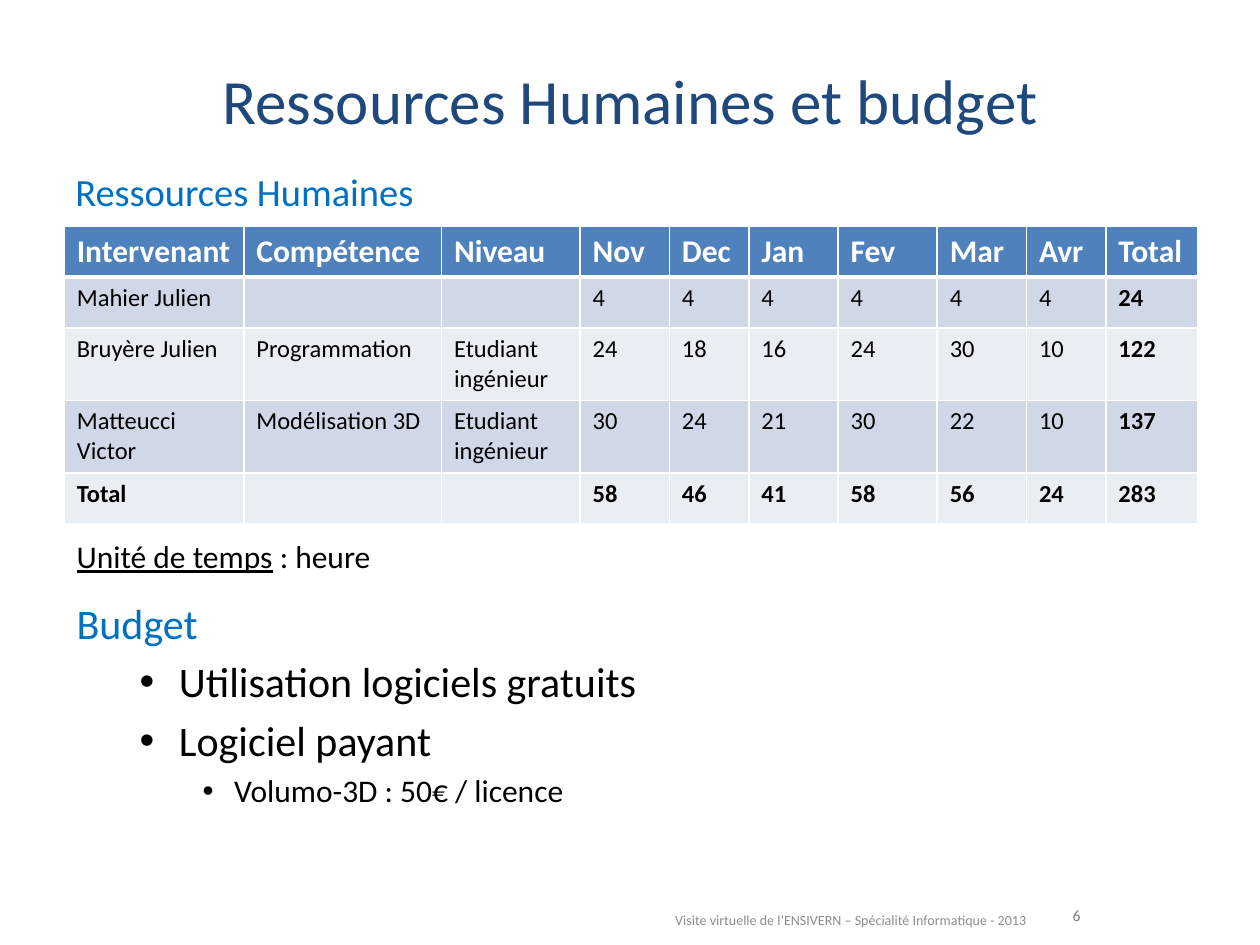
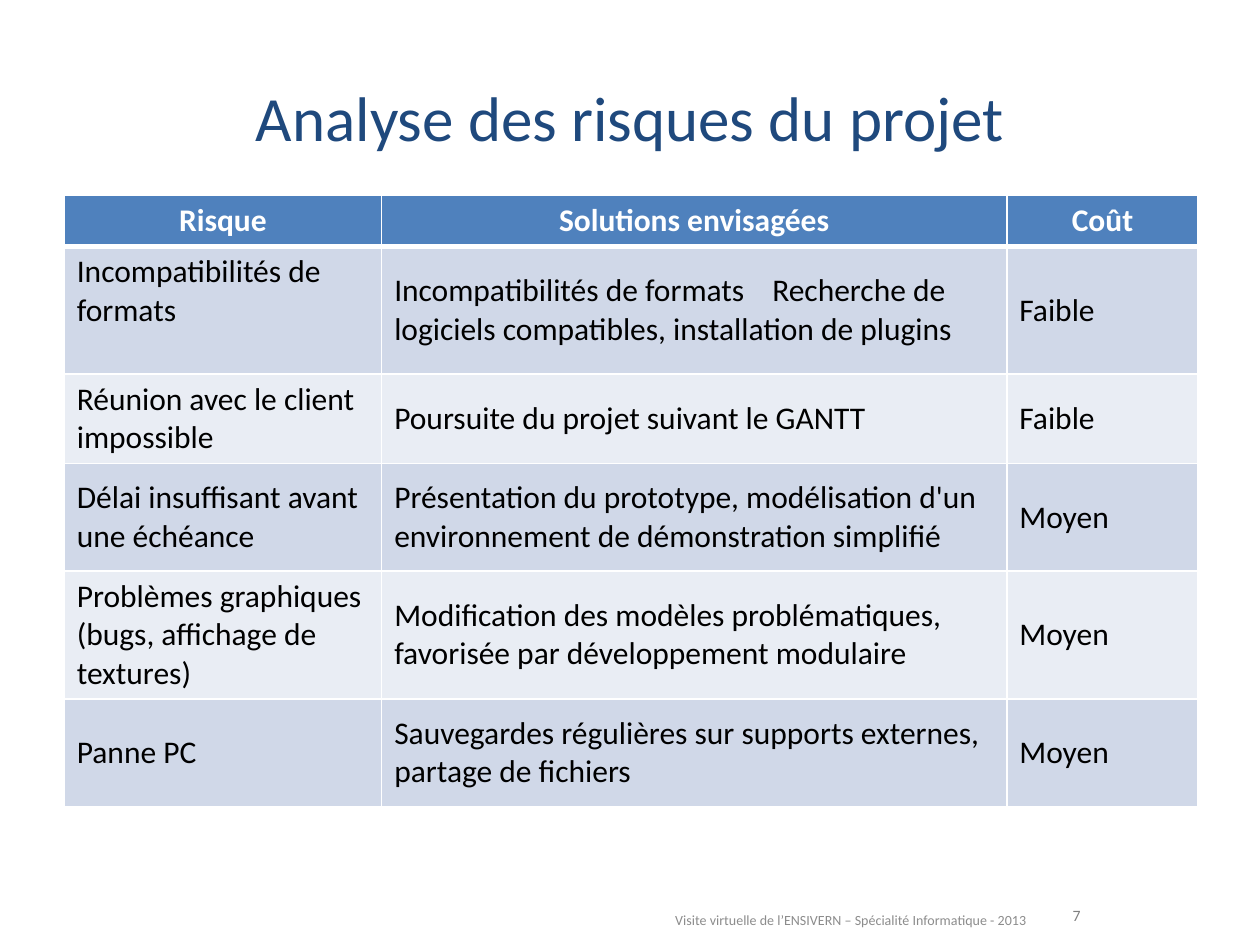
from lxml.etree import SubElement
from pptx import Presentation
from pptx.dml.color import RGBColor
from pptx.enum.text import MSO_ANCHOR, PP_ALIGN
from pptx.oxml.ns import qn
from pptx.util import Pt

COLORS = {
    "title": "1F497D",
    "heading": "0070C0",
    "text": "000000",
    "footer": "8C8C8C",
    "number": "808080",
    "header": "4F81BD",
    "band_dark": "D0D8E8",
    "band_light": "E9EDF4",
    "white": "FFFFFF",
}
FONT = "Calibri"
FOOTER = "Visite virtuelle de l’ENSIVERN – Spécialité Informatique - 2013"
TABLE_LEFT = 36.7
LINE_HEIGHT = 21.95  # one line at 18 points
CELL_PADDING = 7.2  # top and bottom margins together

# Slide 1: hours per person and month
HOURS_COLUMNS = [102.6, 113, 79.2, 51, 45.4, 51, 56.7, 51, 45.4, 52.7]
HOURS_ROWS = [29.2, 29.2, 41.4, 41.4, 29.2]
HOURS = [
    ["Intervenant", "Compétence", "Niveau", "Nov", "Dec", "Jan", "Fev", "Mar", "Avr", "Total"],
    ["Mahier Julien", "", "", "4", "4", "4", "4", "4", "4", "24"],
    ["Bruyère Julien", "Programmation", "Etudiant ingénieur",
     "24", "18", "16", "24", "30", "10", "122"],
    ["Matteucci Victor", "Modélisation 3D", "Etudiant\ningénieur",
     "30", "24", "21", "30", "22", "10", "137"],
    ["Total", "", "", "58", "46", "41", "58", "56", "24", "283"],
]

# Slide 1: budget lines as text, size, colour, left margin, hanging indent, bullet
BUDGET = [
    ("Budget", 24, "heading", 27, 27, None),
    ("Utilisation logiciels gratuits", 24, "text", 58.5, 22.5, "•"),
    ("Logiciel payant", 24, "text", 58.5, 22.5, "•"),
    ("Volumo-3D : 50€ / licence", 18, "text", 90, 18, "•"),
]

# Slide 2: risks, answers and cost
RISK_COLUMNS = [181.4, 357.2, 109.4]
RISK_ROWS = [lines * LINE_HEIGHT + CELL_PADDING for lines in (1, 3, 2, 2.47, 3, 2.47)]
RISKS = [
    ["Risque", "Solutions envisagées", "Coût"],
    ["Incompatibilités de formats",
     "Incompatibilités de formats\tRecherche de logiciels compatibles, installation de plugins",
     "Faible"],
    ["Réunion avec le client impossible", "Poursuite du projet suivant le GANTT", "Faible"],
    ["Délai insuffisant avant une échéance",
     "Présentation du prototype, modélisation d'un environnement de démonstration simplifié",
     "Moyen"],
    ["Problèmes graphiques (bugs, affichage de textures)",
     "Modification des modèles problématiques, favorisée par développement modulaire",
     "Moyen"],
    ["Panne PC", "Sauvegardes régulières sur supports externes, partage de fichiers", "Moyen"],
]


def color(name):
    return RGBColor.from_string(COLORS[name])


def format_font(font, size, color_name, **values):
    """Apply size, colour and any further font attributes."""
    for attribute, value in {"name": FONT, "size": Pt(size), **values}.items():
        setattr(font, attribute, value)
    font.color.rgb = color(color_name)


def add_run(paragraph, text, size, color_name, **values):
    run = paragraph.add_run()
    run.text = text
    format_font(run.font, size, color_name, **values)


def add_text_frame(slide, box, anchor=MSO_ANCHOR.TOP, wrap=True):
    shape = slide.shapes.add_textbox(*map(Pt, box))
    text_frame = shape.text_frame
    text_frame.word_wrap = wrap
    text_frame.vertical_anchor = anchor
    return text_frame


def add_label(slide, box, text, size, color_name, align=PP_ALIGN.LEFT, **frame_values):
    paragraph = add_text_frame(slide, box, **frame_values).paragraphs[0]
    paragraph.alignment = align
    add_run(paragraph, text, size, color_name)


def add_page(presentation, title, title_height, number):
    """Add a blank slide with the shared footer, title and page number."""
    slide = presentation.slides.add_slide(presentation.slide_layouts[6])
    middle = MSO_ANCHOR.MIDDLE
    add_label(slide, (371.5, 511.2, 222.5, 28.8), FOOTER, 8, "footer",
              PP_ALIGN.RIGHT, anchor=middle)
    add_label(slide, (36, 21.6, 648, title_height), title, 36, "title",
              PP_ALIGN.CENTER, anchor=middle)
    add_label(slide, (598.3, 514, 33.8, 26), str(number), 9, "number", PP_ALIGN.CENTER)
    return slide


def set_borders(cell, widths):
    """Draw white borders; must run before the fill is set."""
    properties = cell._tc.get_or_add_tcPr()
    for side, width in widths.items():
        line = SubElement(properties, qn(f"a:ln{side}"), w=str(Pt(width)))
        fill = SubElement(line, qn("a:solidFill"))
        SubElement(fill, qn("a:srgbClr"), val=COLORS["white"])


def add_grid(slide, top, columns, rows, values, body_size, header_align=PP_ALIGN.LEFT,
             anchor=MSO_ANCHOR.TOP, totals=False):
    """Add a banded table; totals makes the last row and column bold."""
    frame = slide.shapes.add_table(len(rows), len(columns), Pt(TABLE_LEFT), Pt(top),
                                   Pt(sum(columns)), Pt(sum(rows)))
    table = frame.table
    for column, width in zip(table.columns, columns):
        column.width = Pt(width)
    for row, height in zip(table.rows, rows):
        row.height = Pt(height)
    for row_index, row_values in enumerate(values):
        header = row_index == 0
        band = "header" if header else ("band_light", "band_dark")[row_index % 2]
        widths = {"L": 1, "R": 1, "T": 3 if row_index == 1 else 1, "B": 3 if header else 1}
        for column_index, text in enumerate(row_values):
            cell = table.cell(row_index, column_index)
            set_borders(cell, widths)
            cell.fill.solid()
            cell.fill.fore_color.rgb = color(band)
            cell.vertical_anchor = anchor
            cell.text = text
            is_total = totals and (row_index == len(rows) - 1
                                   or column_index == len(columns) - 1)
            for paragraph in cell.text_frame.paragraphs:
                paragraph.alignment = header_align if header else PP_ALIGN.LEFT
                for run in paragraph.runs:
                    format_font(run.font, 18 if header else body_size,
                                "white" if header else "text", bold=header or is_total)
    return table


def add_outline(slide, box, items):
    """Add paragraphs with hanging indents and optional bullets."""
    text_frame = add_text_frame(slide, box)
    for index, (text, size, color_name, margin, hanging, bullet) in enumerate(items):
        paragraph = text_frame.add_paragraph() if index else text_frame.paragraphs[0]
        paragraph.space_before = Pt(size * 0.2)
        add_run(paragraph, text, size, color_name)
        properties = paragraph._p.get_or_add_pPr()
        properties.set("marL", str(Pt(margin)))
        properties.set("indent", str(-Pt(hanging)))
        if bullet:
            SubElement(properties, qn("a:buFont"), typeface="Arial")
            SubElement(properties, qn("a:buChar"), char=bullet)


def add_resources_slide(presentation):
    slide = add_page(presentation, "Ressources Humaines et budget", 70.6, 6)
    add_grid(slide, 129, HOURS_COLUMNS, HOURS_ROWS, HOURS, 14, totals=True)
    # Time unit under the table
    unit = add_text_frame(slide, (TABLE_LEFT, 303.1, 640.8, 29)).paragraphs[0]
    add_run(unit, "Unité de temps", 18, "text", underline=True)
    add_run(unit, " : heure", 18, "text")
    add_outline(slide, (TABLE_LEFT, 337.7, 648, 132.5), BUDGET)
    add_label(slide, (36, 92.2, 210.2, 33.8), "Ressources Humaines", 22, "heading", wrap=False)


def add_risks_slide(presentation):
    slide = add_page(presentation, "Analyse des risques du projet", 90, 7)
    table = add_grid(slide, 111.6, RISK_COLUMNS, RISK_ROWS, RISKS, 18,
                     header_align=PP_ALIGN.CENTER, anchor=MSO_ANCHOR.MIDDLE)
    # The first risk sits at the top of its cell
    table.cell(1, 0).vertical_anchor = MSO_ANCHOR.TOP


def main():
    presentation = Presentation()
    presentation.slide_width, presentation.slide_height = Pt(720), Pt(540)
    add_resources_slide(presentation)
    add_risks_slide(presentation)
    presentation.save("out.pptx")


if __name__ == "__main__":
    main()
